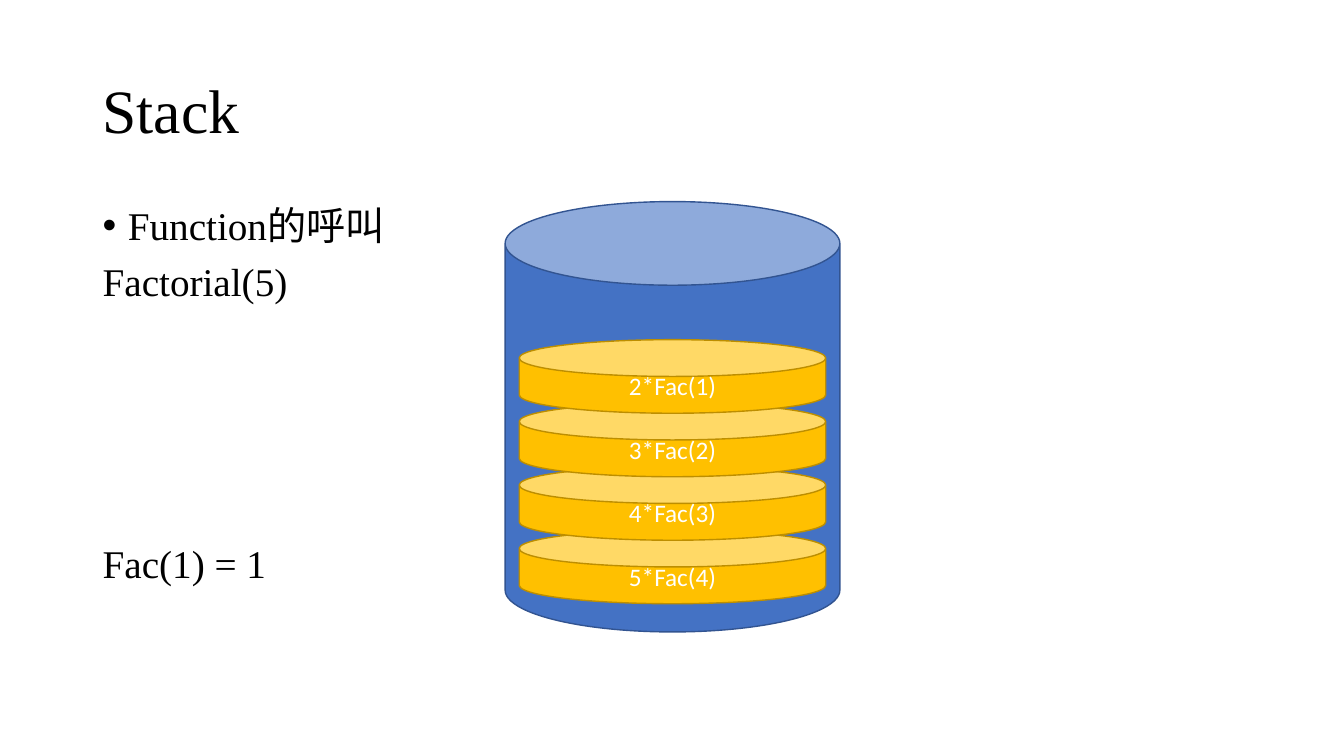
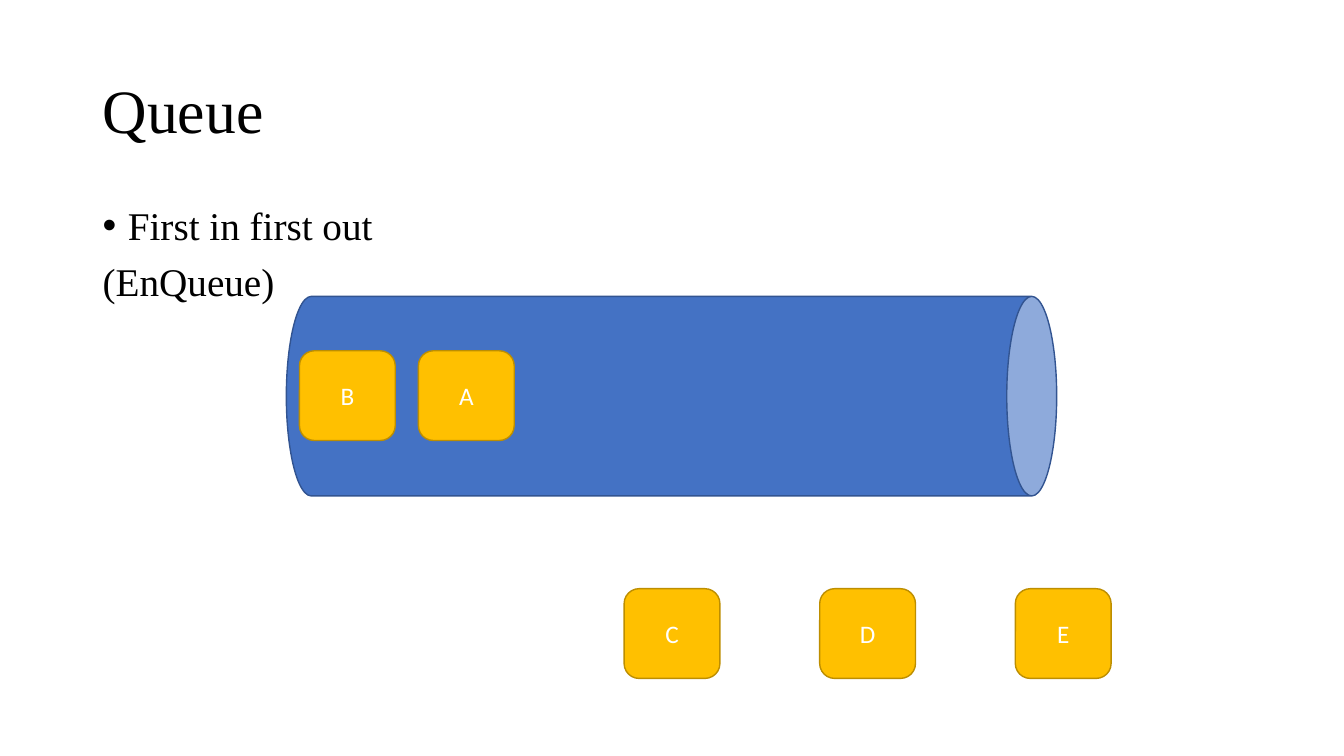
"""Build two slides on the stack and the queue."""
from lxml import etree
from pptx import Presentation
from pptx.dml.color import RGBColor
from pptx.enum.shapes import MSO_SHAPE as SHAPE
from pptx.enum.text import MSO_ANCHOR as ANCHOR, PP_ALIGN as ALIGN
from pptx.oxml.ns import qn
from pptx.util import Pt

PX = 9144
SERIF, SANS = "Times New Roman", "Calibri"
BLACK, WHITE = "000000", "FFFFFF"
BLUE, BLUE_LINE = "4472C4", "325491"
GOLD, GOLD_LINE = "FFC000", "BD8E00"


def add_text(tf, lines, size, font, color, align=ALIGN.LEFT, spacing=0.9):
    """Write (text, space before, bulleted) lines into a text frame."""
    tf.word_wrap = True
    for i, (text, before, bulleted) in enumerate(lines):
        p = tf.paragraphs[0] if i == 0 else tf.add_paragraph()
        if bulleted:
            pPr = p._p.get_or_add_pPr()
            pPr.set("marL", str(25 * PX))
            pPr.set("indent", str(-25 * PX))
            etree.SubElement(pPr, qn("a:buFont")).set("typeface", "Arial")
            etree.SubElement(pPr, qn("a:buChar")).set("char", "•")
        p.alignment = align
        p.line_spacing = spacing
        p.space_before = Pt(before)
        r = p.add_run()
        r.text = text
        r.font.size = Pt(size)
        r.font.name = font
        r.font.color.rgb = RGBColor.from_string(color)


def add_figure(s, kind, box, fill, line, label=None):
    """Add an outlined shape with an optional centred label."""
    sp = s.shapes.add_shape(kind, *(v * PX for v in box))
    sp.shadow.inherit = False
    sp.fill.solid()
    sp.fill.fore_color.rgb = RGBColor.from_string(fill)
    sp.line.color.rgb = RGBColor.from_string(line)
    sp.line.width = Pt(1)
    if label:
        sp.text_frame.vertical_anchor = ANCHOR.MIDDLE
        add_text(sp.text_frame, [(label, 0, False)], 18, SANS, WHITE, ALIGN.CENTER, 1.0)
    return sp


prs = Presentation()
prs.slide_width, prs.slide_height = 1333 * PX, 750 * PX

pages = [
    ("Stack", [("Function的呼叫", 0, True), ("Factorial(5)", 10, False),
               ("Fac(1) = 1", 171, False)]),
    ("Queue", [("First in first out", 0, True), ("(EnQueue)", 10, False)]),
]
slides = []
for title, lines in pages:
    s = prs.slides.add_slide(prs.slide_layouts[6])
    tf = s.shapes.add_textbox(92 * PX, 40 * PX, 1150 * PX, 145 * PX).text_frame
    tf.vertical_anchor = ANCHOR.MIDDLE
    add_text(tf, [(title, 0, False)], 44, SERIF, BLACK)
    tf = s.shapes.add_textbox(92 * PX, 200 * PX, 1150 * PX, 476 * PX).text_frame
    add_text(tf, lines, 28, SERIF, BLACK)
    slides.append(s)
stack, queue = slides

add_figure(stack, SHAPE.CAN, (501, 200, 332, 427), BLUE, BLUE_LINE)
for i, call in enumerate(["5*Fac(4)", "4*Fac(3)", "3*Fac(2)", "2*Fac(1)"]):
    disc = add_figure(stack, SHAPE.CAN, (515, 526 - 63 * i, 304, 73), GOLD, GOLD_LINE, call)
    disc.adjustments[0] = 0.5

pipe = add_figure(queue, SHAPE.CAN, (567, 11, 198, 764), BLUE, BLUE_LINE)
pipe.rotation = 90
for names, left, top, step in [("BA", 297, 348, 118), ("CDE", 619, 584, 194)]:
    for i, name in enumerate(names):
        add_figure(queue, SHAPE.ROUNDED_RECTANGLE, (left + step * i, top, 95, 89),
                   GOLD, GOLD_LINE, name)

prs.save("out.pptx")
